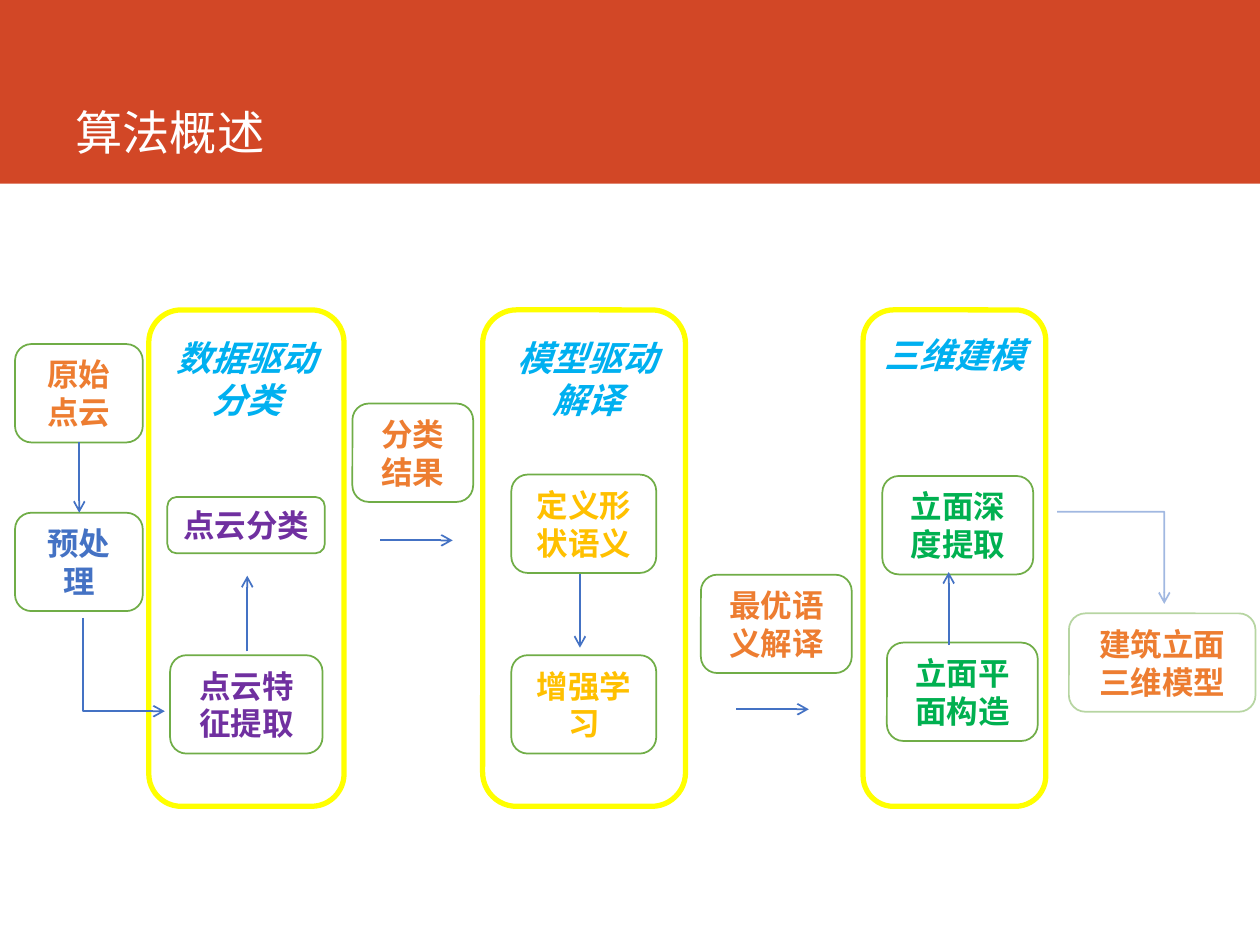
from dataclasses import dataclass

from lxml import etree
from pptx import Presentation
from pptx.dml.color import RGBColor
from pptx.enum.shapes import MSO_CONNECTOR, MSO_SHAPE
from pptx.enum.text import MSO_ANCHOR, MSO_AUTO_SIZE, PP_ALIGN
from pptx.oxml.ns import qn
from pptx.util import Pt

RECT = MSO_SHAPE.RECTANGLE
ROUND = MSO_SHAPE.ROUNDED_RECTANGLE
STRAIGHT = MSO_CONNECTOR.STRAIGHT
ELBOW = MSO_CONNECTOR.ELBOW
GROW = MSO_AUTO_SIZE.SHAPE_TO_FIT_TEXT
TOP, MIDDLE, BOTTOM = MSO_ANCHOR.TOP, MSO_ANCHOR.MIDDLE, MSO_ANCHOR.BOTTOM
LEFT, CENTER = PP_ALIGN.LEFT, PP_ALIGN.CENTER


@dataclass(frozen=True)
class Theme:
    band: str = "D24726"
    white: str = "FFFFFF"
    panel: str = "FFFF00"
    edge: str = "70AD47"
    blue: str = "4472C4"
    sky: str = "00B0F0"
    orange: str = "ED7D31"
    purple: str = "7030A0"
    gold: str = "FFC000"
    green: str = "00B050"
    face: str = "Lato"
    title_face: str = "Noto Sans CJK SC"
    title: float = 27
    head: float = 20
    body: float = 18
    thin: float = 1
    thick: float = 3


@dataclass(frozen=True)
class Panel:
    text: str
    x: float
    w: float
    head_x: float
    head_y: float


@dataclass(frozen=True)
class Step:
    text: str
    x: float
    y: float
    w: float
    color: str
    h: float = 56.2
    wrap: bool = True
    faint: bool = False


@dataclass(frozen=True)
class Arrow:
    x: float
    y: float
    dx: float
    dy: float


@dataclass(frozen=True)
class Bend:
    x: float
    y: float
    w: float
    h: float
    turn: int = 0
    flip: bool = False
    faint: bool = False


T = Theme()
PANEL_Y, PANEL_H = 177.1, 283.7
HEAD_W, HEAD_H = 104.4, 46.8

PANELS = [
    Panel("数据驱动分类", 85, 111.6, 88.6, 188.6),
    Panel("模型驱动解译", 275.8, 115.9, 283.7, 188.6),
    Panel("三维建模", 493.2, 104.4, 493.2, 187.2),
]
STEPS = [
    Step("原始点云", 8.6, 196.6, 73, T.orange),
    Step("预处理", 8.6, 293, 73, T.blue),
    Step("点云分类", 95.6, 284, 90, T.purple, h=32.2, wrap=False),
    Step("点云特征提取", 97.2, 374.4, 87.1, T.purple),
    Step("分类结果", 201.4, 230.6, 69, T.orange),
    Step("定义形状语义", 292.2, 271.2, 82.8, T.gold),
    Step("增强学习", 292.2, 374.4, 82.8, T.gold),
    Step("最优语义解译", 400.5, 328.4, 86.2, T.orange),
    Step("立面深度提取", 504.2, 272, 86.2, T.green),
    Step("立面平面构造", 506.8, 367.2, 86.2, T.green),
    Step("建筑立面三维模型", 610.8, 350.5, 106.6, T.orange, faint=True),
]
ARROWS = [
    Arrow(45.3, 252.7, 0, 40.3),
    Arrow(141.3, 372.2, 0, -43.2),
    Arrow(217.2, 308.8, 41.5, 0),
    Arrow(331.4, 328.2, 0, 41.9),
    Arrow(420.7, 405.3, 41.5, 0),
    Arrow(542.1, 368.6, 0, -41.7),
]
BENDS = [
    Bend(44.1, 356.4, 53.3, 46.8, turn=270, flip=True),
    Bend(604.1, 292.5, 61.2, 52.6, faint=True),
]


def write(shape, text: str, size: float, color: str, face: str = T.face,
          bold: bool = True, italic: bool = False, align=CENTER,
          anchor=MIDDLE, wrap: bool = True) -> None:
    frame = shape.text_frame
    frame.word_wrap = wrap
    frame.auto_size = GROW if anchor != BOTTOM else MSO_AUTO_SIZE.NONE
    frame.vertical_anchor = anchor
    para = frame.paragraphs[0]
    para.alignment = align
    run = para.add_run()
    run.text = text
    font = run.font
    font.size, font.bold, font.italic = Pt(size), bold, italic
    font.color.rgb = RGBColor.from_string(color)
    font.name = face
    etree.SubElement(font._element, qn("a:ea"), typeface=face)


def stroke(line, color: str, width: float, faint: bool = False) -> None:
    line.color.rgb = RGBColor.from_string(color)
    line.width = Pt(width)
    if faint:
        tint = line._ln.find(".//" + qn("a:srgbClr"))
        etree.SubElement(tint, qn("a:alpha"), val="50000")


def frame(slide, x: float, y: float, w: float, h: float, color: str,
          width: float, faint: bool = False):
    shape = slide.shapes.add_shape(ROUND, Pt(x), Pt(y), Pt(w), Pt(h))
    shape.shadow.inherit = False
    shape.fill.background()
    stroke(shape.line, color, width, faint)
    return shape


def label(slide, x: float, y: float, w: float, h: float):
    return slide.shapes.add_textbox(Pt(x), Pt(y), Pt(w), Pt(h))


def draw_band(slide) -> None:
    band = slide.shapes.add_shape(RECT, 0, 0, Pt(720), Pt(105))
    band.shadow.inherit = False
    band.fill.solid()
    band.fill.fore_color.rgb = RGBColor.from_string(T.band)
    band.line.fill.background()
    write(label(slide, 36, 0, 635, 95), "算法概述", T.title, T.white,
          T.title_face, bold=False, align=LEFT, anchor=BOTTOM)


def draw_panel(slide, item: Panel) -> None:
    frame(slide, item.x, PANEL_Y, item.w, PANEL_H, T.panel, T.thick)
    head = label(slide, item.head_x, item.head_y, HEAD_W, HEAD_H)
    write(head, item.text, T.head, T.sky, italic=True, anchor=TOP)


def draw_step(slide, item: Step) -> None:
    box = frame(slide, item.x, item.y, item.w, item.h, T.edge, T.thin,
                item.faint)
    write(box, item.text, T.body, item.color, wrap=item.wrap)


def link(slide, kind, x: float, y: float, dx: float, dy: float,
         faint: bool = False):
    line = slide.shapes.add_connector(kind, Pt(x), Pt(y), Pt(x + dx),
                                      Pt(y + dy))
    stroke(line.line, T.blue, T.thin, faint)
    etree.SubElement(line.line._ln, qn("a:tailEnd"), type="arrow")
    etree.SubElement(line._element.spPr, qn("a:effectLst"))
    return line


def draw_bend(slide, item: Bend) -> None:
    line = link(slide, ELBOW, item.x, item.y, item.w, item.h, item.faint)
    props = line._element.spPr
    props.find(qn("a:prstGeom")).set("prst", "bentConnector2")
    place = props.find(qn("a:xfrm"))
    place.set("rot", str(item.turn * 60000))
    place.set("flipH", str(int(item.flip)))


def main() -> None:
    deck = Presentation()
    deck.slide_width, deck.slide_height = Pt(720), Pt(540)
    slide = deck.slides.add_slide(deck.slide_layouts[6])
    draw_band(slide)
    for panel in PANELS:
        draw_panel(slide, panel)
    for step in STEPS:
        draw_step(slide, step)
    for arrow in ARROWS:
        link(slide, STRAIGHT, arrow.x, arrow.y, arrow.dx, arrow.dy)
    for bend in BENDS:
        draw_bend(slide, bend)
    deck.save("out.pptx")


if __name__ == "__main__":
    main()
